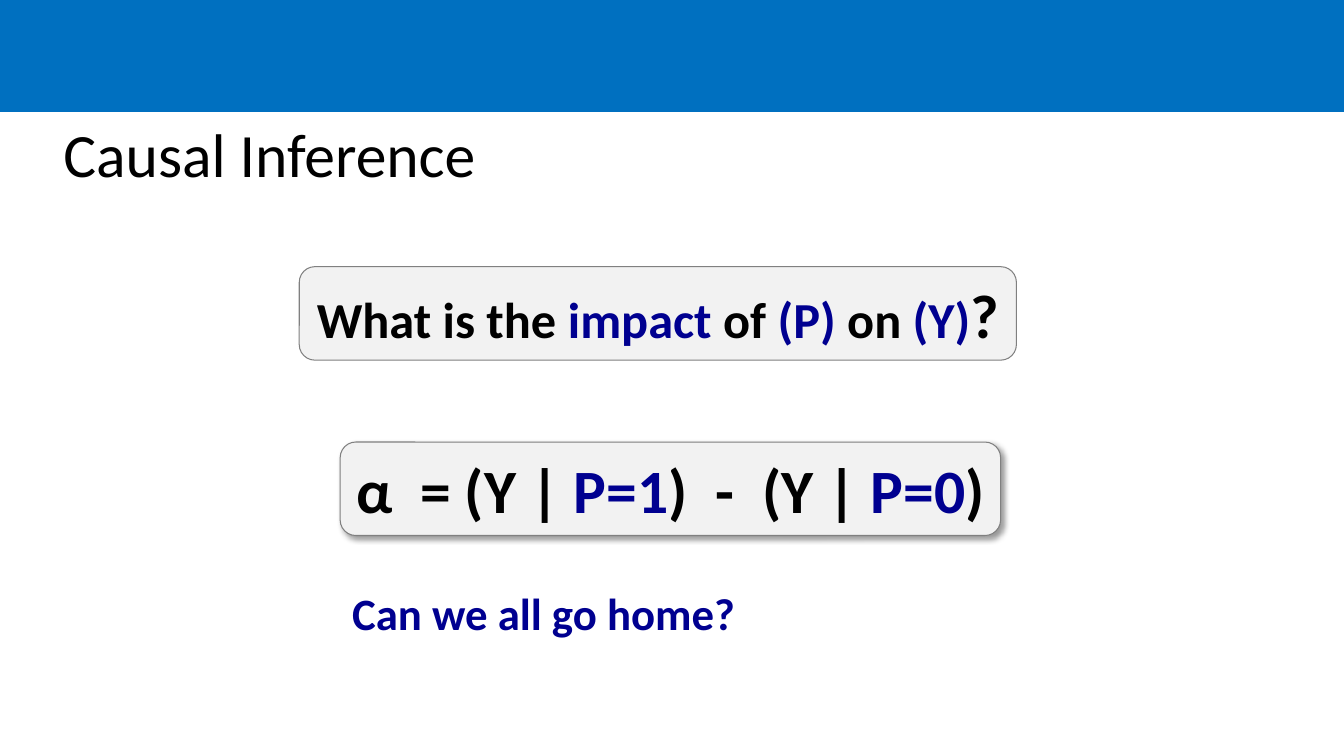
from dataclasses import dataclass

from lxml.etree import SubElement
from pptx import Presentation
from pptx.dml.color import RGBColor as Rgb
from pptx.enum.shapes import MSO_SHAPE as Kind
from pptx.enum.text import MSO_ANCHOR as Anchor, PP_ALIGN as Align
from pptx.oxml.ns import qn
from pptx.shapes.autoshape import Shape
from pptx.slide import Slide
from pptx.util import Pt

PX = 9525
FONT = "Calibri"
HUES = {
    "bar": "0070C0",
    "panel": "F2F2F2",
    "edge": "808080",
    "ink": "000000",
    "navy": "000090",
}


@dataclass(frozen=True)
class Piece:
    text: str
    size: int
    hue: str = "ink"


@dataclass(frozen=True)
class Label:
    box: tuple[int, int, int, int]
    words: tuple[Piece, ...]
    bold: bool = True
    panel: bool = False
    shade: bool = False
    wrap: bool = False
    anchor: Anchor = Anchor.TOP
    pitch: float = 1.0


LABELS = (
    Label((51, 108, 933, 84), (Piece("Causal Inference", 44),),
          bold=False, wrap=True, anchor=Anchor.MIDDLE, pitch=0.9),
    Label((285, 254, 683, 89), (
        Piece("What is the ", 36),
        Piece("impact ", 36, "navy"),
        Piece("of ", 36),
        Piece("(P) ", 36, "navy"),
        Piece("on ", 36),
        Piece("(Y)", 36, "navy"),
        Piece("?", 44),
    ), panel=True, anchor=Anchor.MIDDLE),
    Label((324, 421, 629, 89), (
        Piece("α  = (Y | ", 44),
        Piece("P=1", 44, "navy"),
        Piece(")  -  (Y | ", 44),
        Piece("P=0", 44, "navy"),
        Piece(")", 44),
    ), panel=True, shade=True),
    Label((326, 553, 389, 61), (Piece("Can we all go home?", 32, "navy"),)),
)


def tint(name: str) -> Rgb:
    return Rgb.from_string(HUES[name])


def add_block(slide: Slide, kind: Kind, box: tuple[int, int, int, int],
              fill: str, edge: str, width: float) -> Shape:
    block = slide.shapes.add_shape(kind, *(n * PX for n in box))
    block.shadow.inherit = False
    block.fill.solid()
    block.fill.fore_color.rgb = tint(fill)
    block.line.color.rgb = tint(edge)
    block.line.width = Pt(width)
    return block


def add_shade(block: Shape) -> None:
    effects = block._element.spPr.find(qn("a:effectLst"))
    outer = SubElement(effects, qn("a:outerShdw"), blurRad=str(int(Pt(4))),
                       dist=str(int(Pt(3))), dir="2700000", algn="tl",
                       rotWithShape="0")
    color = SubElement(outer, qn("a:srgbClr"), val=HUES["ink"])
    SubElement(color, qn("a:alpha"), val="40000")


def add_label(slide: Slide, label: Label) -> None:
    if label.panel:
        shape = add_block(slide, Kind.ROUNDED_RECTANGLE, label.box,
                          "panel", "edge", 0.75)
    else:
        shape = slide.shapes.add_textbox(*(n * PX for n in label.box))
    if label.shade:
        add_shade(shape)
    frame = shape.text_frame
    frame.word_wrap = label.wrap
    frame.vertical_anchor = label.anchor
    line = frame.paragraphs[0]
    line.alignment = Align.CENTER if label.panel else Align.LEFT
    line.line_spacing = label.pitch
    line.text = label.words[0].text
    for piece in label.words[1:]:
        line.add_run().text = piece.text
    for run, piece in zip(line.runs, label.words):
        run.font.name = FONT
        run.font.size = Pt(piece.size)
        run.font.bold = label.bold
        run.font.color.rgb = tint(piece.hue)


def main() -> None:
    deck = Presentation()
    deck.slide_width = 1280 * PX
    deck.slide_height = 720 * PX
    slide = deck.slides.add_slide(deck.slide_layouts[6])
    add_block(slide, Kind.RECTANGLE, (0, 0, 1280, 106), "bar", "bar", 1)
    for label in LABELS:
        add_label(slide, label)
    deck.save("out.pptx")


if __name__ == "__main__":
    main()
